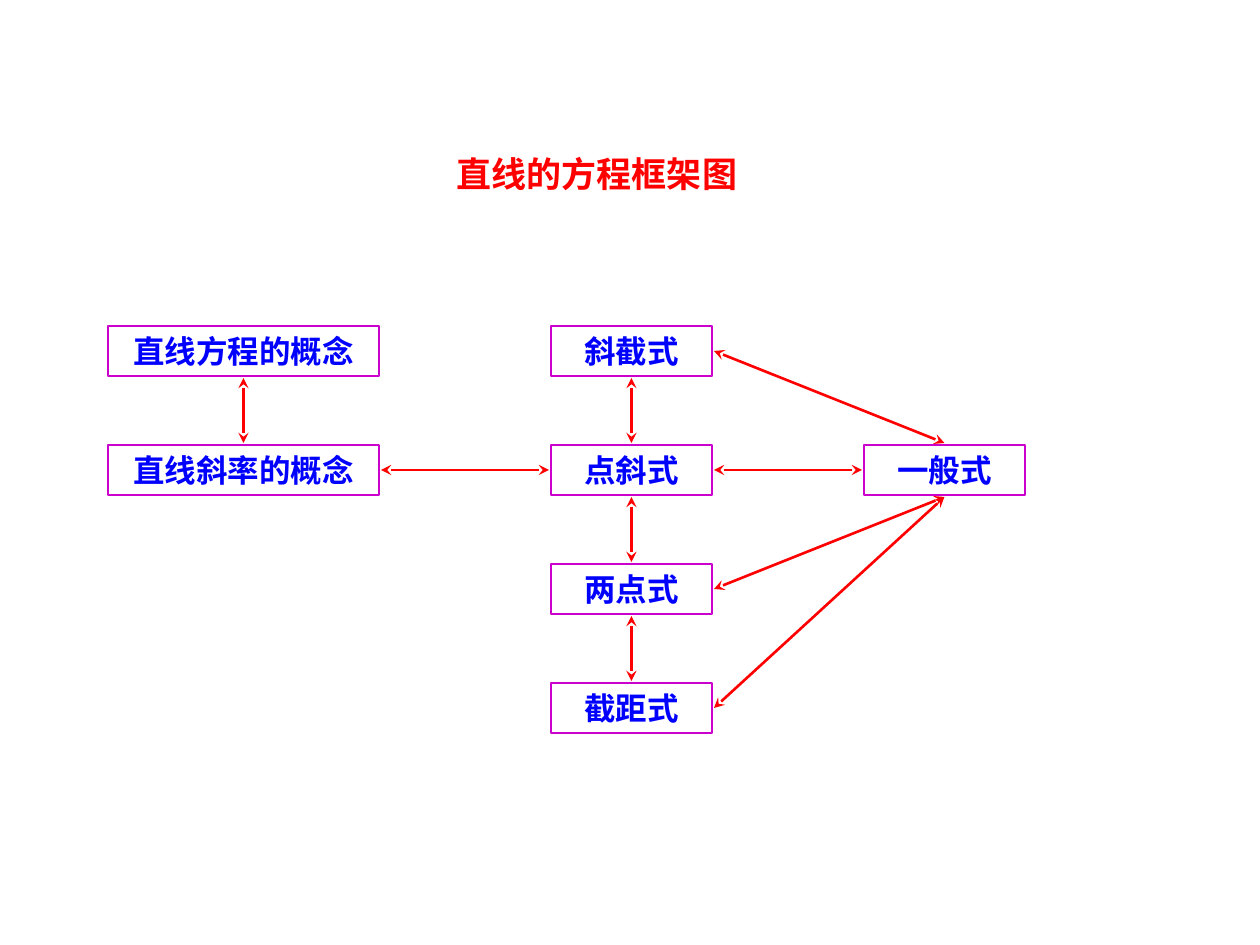
import pptx
import pptx.dml.color
import pptx.enum.shapes
import pptx.enum.text
import pptx.oxml
import pptx.oxml.ns
import pptx.util

SCALE = 914400 // 126
FONT = "Noto Sans CJK SC"
COLORS = {"title": "FF0000", "label": "0000FF", "border": "CC00CC", "arrow": "FF0000"}
TOP, PITCH, HEIGHT, GAP = 326, 119, 50, 2
COLUMNS = [(108, 271), (551, 161), (864, 161)]
BOXES = {
    "直线方程的概念": (0, 0),
    "直线斜率的概念": (0, 1),
    "斜截式": (1, 0),
    "点斜式": (1, 1),
    "两点式": (1, 2),
    "截距式": (1, 3),
    "一般式": (2, 1),
}
ARROWS = [
    ("直线方程的概念", "bottom", "直线斜率的概念", "top"),
    ("直线斜率的概念", "right", "点斜式", "left"),
    ("斜截式", "bottom", "点斜式", "top"),
    ("点斜式", "bottom", "两点式", "top"),
    ("两点式", "bottom", "截距式", "top"),
    ("点斜式", "right", "一般式", "left"),
    ("两点式", "right", "一般式", "bottom"),
    ("截距式", "right", "一般式", "bottom"),
    ("斜截式", "right", "一般式", "top"),
]


def px(value):
    return pptx.util.Emu(int(value * SCALE))


def rgb(name):
    return pptx.dml.color.RGBColor.from_string(COLORS[name])


def set_text(shape, text, size, color):
    frame = shape.text_frame
    frame.text = text
    frame.word_wrap = True
    frame.auto_size = pptx.enum.text.MSO_AUTO_SIZE.NONE
    frame.vertical_anchor = pptx.enum.text.MSO_ANCHOR.MIDDLE
    paragraph = frame.paragraphs[0]
    paragraph.alignment = pptx.enum.text.PP_ALIGN.CENTER
    font = paragraph.font
    font.size = pptx.util.Pt(size)
    font.bold = True
    font.color.rgb = rgb(color)
    font.name = FONT
    properties = paragraph._p.pPr.find(pptx.oxml.ns.qn("a:defRPr"))
    east_asian = properties.makeelement(pptx.oxml.ns.qn("a:ea"), {"typeface": FONT})
    properties.append(east_asian)
    return paragraph


def add_title(slide, text):
    title = slide.shapes.title
    title.left, title.top, title.width, title.height = map(px, (144, 129, 906, 72))
    set_text(title, text, 20, "title").line_spacing = 1.4


def box_bounds(name):
    column, row = BOXES[name]
    left, width = COLUMNS[column]
    return left, TOP + row * PITCH, width, HEIGHT


def add_box(slide, name):
    rectangle = pptx.enum.shapes.MSO_SHAPE.RECTANGLE
    shape = slide.shapes.add_shape(rectangle, *map(px, box_bounds(name)))
    shape.shadow.inherit = False
    shape.fill.background()
    shape.line.color.rgb = rgb("border")
    shape.line.width = pptx.util.Pt(1.5)
    set_text(shape, name, 18, "label")


def side_point(name, side):
    left, top, width, height = box_bounds(name)
    middle_x, middle_y = left + width / 2, top + height / 2
    return {
        "left": (left - GAP, middle_y),
        "right": (left + width + GAP, middle_y),
        "top": (middle_x, top - GAP),
        "bottom": (middle_x, top + height + GAP),
    }[side]


def add_arrow(slide, start, start_side, end, end_side):
    points = side_point(start, start_side) + side_point(end, end_side)
    straight = pptx.enum.shapes.MSO_CONNECTOR.STRAIGHT
    connector = slide.shapes.add_connector(straight, *map(px, points))
    connector.line.color.rgb = rgb("arrow")
    connector.line.width = pptx.util.Pt(1.5)
    line = connector.line._get_or_add_ln()
    for tag in ("a:headEnd", "a:tailEnd"):
        line.append(line.makeelement(pptx.oxml.ns.qn(tag), {"type": "stealth"}))
    properties = connector._element.spPr
    properties.append(properties.makeelement(pptx.oxml.ns.qn("a:effectLst"), {}))


def main():
    presentation = pptx.Presentation()
    presentation.slide_width = px(1260)
    presentation.slide_height = px(945)
    slide = presentation.slides.add_slide(presentation.slide_layouts[5])
    add_title(slide, "直线的方程框架图")
    for name in BOXES:
        add_box(slide, name)
    for arrow in ARROWS:
        add_arrow(slide, *arrow)
    presentation.save("out.pptx")


if __name__ == "__main__":
    main()
